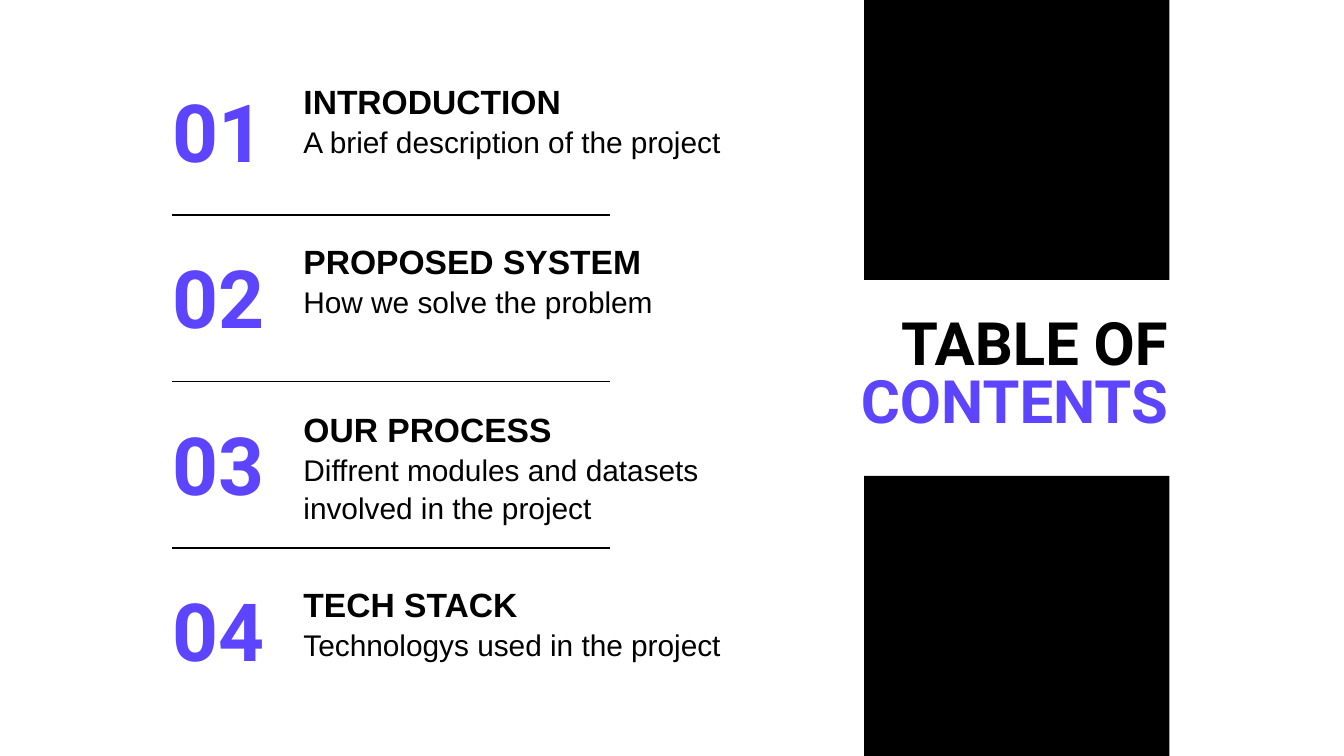
from pptx import Presentation
from pptx.dml.color import RGBColor
from pptx.enum import shapes, text
from pptx.oxml.ns import qn
from pptx.util import Pt
from lxml import etree

COLORS = {"ink": "000000", "accent": "5D44FF", "paper": "FFFFFF"}
TITLE = [("TABLE OF ", "ink"), ("CONTENTS", "accent")]
# heading, description, top of heading
SECTIONS = [
    ("INTRODUCTION", "A brief description of the project", 35.3),
    ("PROPOSED SYSTEM", "How we solve the problem", 121),
    ("OUR PROCESS", "Diffrent modules and datasets involved in the project", 211),
    ("TECH STACK", "Technologys used in the project", 304.6),
]

SLIDE_W, SLIDE_H = 720, 405
BAND_X, BAND_W, BAND_H = 463, 163.5, 150
ROW_PITCH = 89.2
NUMBER_TOP, NUMBER_H = 51.8, 45.4
RULE_TOP, RULE_X1, RULE_X2 = 115.2, 92.2, 326.9
TEXT_X, TEXT_W, HEADING_H, DESCRIPTION_H = 155.5, 249.8, 31, 45
DESCRIPTION_DROP = 23.1

FONTS = {
    "title": {"name": "Roboto", "size": Pt(32), "bold": True},
    "number": {"name": "Roboto", "size": Pt(43), "bold": True},
    "heading": {"name": "Arial", "size": Pt(18), "bold": True},
    "description": {"name": "Arial", "size": Pt(16), "bold": False},
}
TIGHT_RIGHT = {"alignment": text.PP_ALIGN.RIGHT, "line_spacing": 0.8}
BODY_LEFT = {"alignment": text.PP_ALIGN.LEFT, "line_spacing": 1.05}
TOP, MIDDLE = text.MSO_ANCHOR.TOP, text.MSO_ANCHOR.MIDDLE


def rgb(color):
    return RGBColor.from_string(COLORS[color])


def set_all(target, values):
    for name, value in values.items():
        setattr(target, name, value)


def write(box, runs, font, paragraph_format, anchor=TOP):
    """Fill a box with one paragraph of (words, color) runs."""
    frame = box.text_frame
    set_all(frame, {"word_wrap": True, "auto_size": text.MSO_AUTO_SIZE.NONE,
                    "vertical_anchor": anchor})
    for side in ("left", "top", "right", "bottom"):
        setattr(frame, f"margin_{side}", Pt(7.2))
    paragraph = frame.paragraphs[0]
    set_all(paragraph, paragraph_format)
    set_all(paragraph, {"space_before": Pt(0), "space_after": Pt(0)})
    for words, color in runs:
        run = paragraph.add_run()
        run.text = words
        set_all(run.font, FONTS[font])
        run.font.color.rgb = rgb(color)


def add_text(slide, place, words, font, color, paragraph_format, anchor=TOP):
    box = slide.shapes.add_textbox(*map(Pt, place))
    write(box, [(words, color)], font, paragraph_format, anchor)


def add_band(slide, top):
    band = slide.shapes.add_shape(shapes.MSO_SHAPE.RECTANGLE,
                                  Pt(BAND_X), Pt(top), Pt(BAND_W), Pt(BAND_H))
    band.shadow.inherit = False
    band.fill.solid()
    band.fill.fore_color.rgb = rgb("ink")
    band.line.fill.background()


def add_rule(slide, y):
    rule = slide.shapes.add_connector(shapes.MSO_CONNECTOR.STRAIGHT,
                                      Pt(RULE_X1), Pt(y), Pt(RULE_X2), Pt(y))
    rule.line.width = Pt(0.75)
    rule.line.color.rgb = rgb("ink")
    etree.SubElement(rule._element.spPr, qn("a:effectLst"))


def add_section(slide, index, heading, description, top):
    number_top = NUMBER_TOP + index * ROW_PITCH
    add_text(slide, (77, number_top, 72, NUMBER_H), f"{index + 1:02}",
             "number", "accent", TIGHT_RIGHT, MIDDLE)
    add_text(slide, (TEXT_X, top, TEXT_W, HEADING_H), heading,
             "heading", "ink", BODY_LEFT)
    add_text(slide, (TEXT_X, top + DESCRIPTION_DROP, TEXT_W, DESCRIPTION_H),
             description, "description", "ink", BODY_LEFT)
    if index < len(SECTIONS) - 1:
        add_rule(slide, RULE_TOP + index * ROW_PITCH)


def main():
    deck = Presentation()
    set_all(deck, {"slide_width": Pt(SLIDE_W), "slide_height": Pt(SLIDE_H)})
    slide = deck.slides.add_slide(deck.slide_layouts[5])
    slide.background.fill.solid()
    slide.background.fill.fore_color.rgb = rgb("paper")

    for top in (0, SLIDE_H - BAND_H):
        add_band(slide, top)
    title = slide.shapes.title
    set_all(title, {"left": Pt(430.6), "top": Pt(164.2),
                    "width": Pt(202.3), "height": Pt(77)})
    write(title, TITLE, "title", TIGHT_RIGHT)
    for index, section in enumerate(SECTIONS):
        add_section(slide, index, *section)
    deck.save("out.pptx")


if __name__ == "__main__":
    main()
